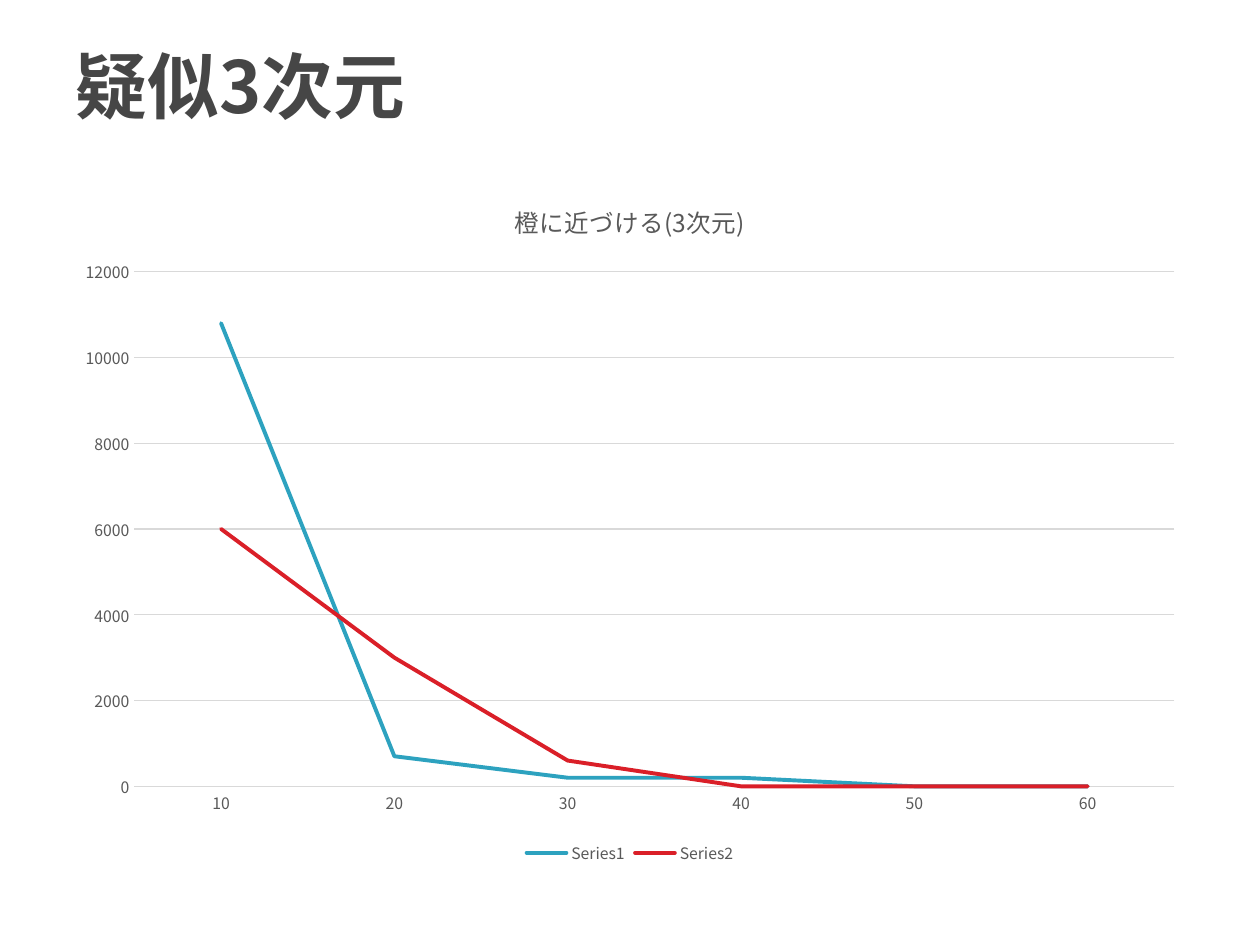
from dataclasses import dataclass

from lxml import etree
from pptx import Presentation
from pptx import util as u
from pptx.chart import data as chart_data
from pptx.dml.color import RGBColor
from pptx.enum import chart as ch, text
from pptx.oxml import ns

EMU_PER_PX = 914400 / 126
FONT = "Noto Sans CJK JP"
TITLE_COLOR = "464646"
LABEL_COLOR = "595959"
GRID_COLOR = "D9D9D9"


@dataclass(frozen=True)
class Area:
    left: int
    top: int
    width: int
    height: int

    def emu(self) -> tuple[u.Emu, ...]:
        return tuple(px(n) for n in (self.left, self.top, self.width, self.height))


@dataclass(frozen=True)
class Series:
    name: str
    values: tuple[int, ...]
    color: str


CATEGORIES = ("10", "20", "30", "40", "50", "60")
SERIES = (
    Series("Series1", (10800, 700, 200, 200, 0, 0), "2DA2BF"),
    Series("Series2", (6000, 3000, 600, 0, 0, 0), "DA1F28"),
)


def px(length: int) -> u.Emu:
    return u.Emu(round(length * EMU_PER_PX))


def rgb(value: str) -> RGBColor:
    return RGBColor.from_string(value)


def style_font(font, size: float, color: str, bold: bool = False) -> None:
    font.size = u.Pt(size)
    font.bold = bold
    font.name = FONT
    font.color.rgb = rgb(color)
    latin = font._element.find(ns.qn("a:latin"))
    east_asian = etree.Element(ns.qn("a:ea"), typeface=FONT)
    latin.addnext(east_asian)


def style_line(line, color: str, width: float) -> None:
    line.color.rgb = rgb(color)
    line.width = u.Pt(width)


def add_heading(page, area: Area, wording: str) -> None:
    box = page.shapes.add_textbox(*area.emu())
    frame = box.text_frame
    frame.word_wrap = True
    frame.vertical_anchor = text.MSO_ANCHOR.MIDDLE
    frame.text = wording
    style_font(frame.paragraphs[0].runs[0].font, 41, TITLE_COLOR, bold=True)


def style_axis(axis) -> None:
    axis.major_tick_mark = axis.minor_tick_mark = ch.XL_TICK_MARK.NONE
    style_font(axis.tick_labels.font, 9, LABEL_COLOR)


def add_line_chart(page, area: Area, title: str) -> None:
    content = chart_data.CategoryChartData()
    content.categories = CATEGORIES
    for item in SERIES:
        content.add_series(item.name, item.values)
    chart = page.shapes.add_chart(ch.XL_CHART_TYPE.LINE, *area.emu(), content).chart
    style_font(chart.font, 10, "000000")

    chart.has_title = True
    chart.chart_title.include_in_layout = False
    frame = chart.chart_title.text_frame
    frame.text = title
    style_font(frame.paragraphs[0].runs[0].font, 14, LABEL_COLOR)

    chart.has_legend = True
    chart.legend.position = ch.XL_LEGEND_POSITION.BOTTOM
    chart.legend.include_in_layout = False
    style_font(chart.legend.font, 9, LABEL_COLOR)

    style_axis(chart.category_axis)
    style_line(chart.category_axis.format.line, GRID_COLOR, 0.75)
    values = chart.value_axis
    style_axis(values)
    values.minimum_scale, values.maximum_scale, values.major_unit = 0, 12000, 2000
    values.format.line.fill.background()
    style_line(values.major_gridlines.format.line, GRID_COLOR, 0.75)

    plot = chart.plots[0]
    plot.vary_by_categories = False
    for item, series in zip(SERIES, plot.series):
        series.smooth = False
        series.marker.style = ch.XL_MARKER_STYLE.NONE
        style_line(series.format.line, item.color, 2.25)
        series.format.line._get_or_add_ln().set("cap", "rnd")


def main() -> None:
    deck = Presentation()
    deck.slide_width, deck.slide_height = px(1260), px(945)
    page = deck.slides.add_slide(deck.slide_layouts[6])
    page.background.fill.solid()
    page.background.fill.fore_color.rgb = rgb("FFFFFF")
    add_heading(page, Area(63, 6, 1134, 158), "疑似3次元")
    add_line_chart(page, Area(63, 176, 1134, 693), "橙に近づける(3次元)")
    deck.save("out.pptx")


if __name__ == "__main__":
    main()
